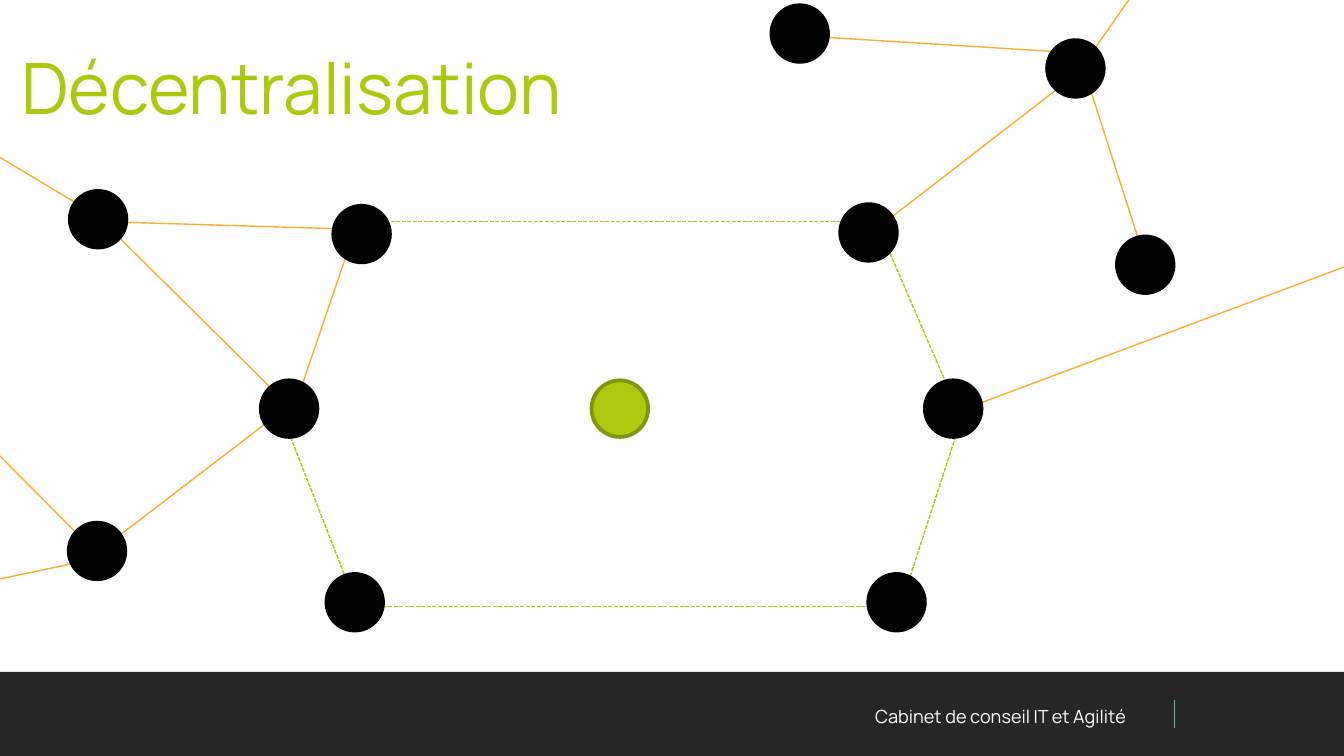
from typing import NamedTuple

from lxml import etree
from pptx import Presentation
from pptx.dml.color import RGBColor
from pptx.enum.dml import MSO_LINE
from pptx.enum.shapes import MSO_CONNECTOR, MSO_SHAPE
from pptx.enum.text import MSO_ANCHOR, MSO_AUTO_SIZE, PP_ALIGN
from pptx.oxml.ns import qn
from pptx.util import Cm, Pt

ELLIPSE, RECTANGLE = MSO_SHAPE.OVAL, MSO_SHAPE.RECTANGLE
STRAIGHT = MSO_CONNECTOR.STRAIGHT
DASH = MSO_LINE.SQUARE_DOT
LEFT, RIGHT = PP_ALIGN.LEFT, PP_ALIGN.RIGHT
TOP, MIDDLE = MSO_ANCHOR.TOP, MSO_ANCHOR.MIDDLE

BLACK = RGBColor(0x00, 0x00, 0x00)
WHITE = RGBColor(0xFF, 0xFF, 0xFF)
CHARCOAL = RGBColor(0x26, 0x26, 0x26)
TEAL = RGBColor(0x63, 0xBD, 0xA2)
ORANGE = RGBColor(0xF8, 0xAF, 0x2D)
LIME = RGBColor(0xAC, 0xC9, 0x09)
GREEN = RGBColor(0xAD, 0xC9, 0x0E)
DARK_GREEN = RGBColor(0x80, 0x95, 0x0A)

FONT = "Manrope"
TITLE_ONLY = 5
NODE_SIZE = 1.07


class Node(NamedTuple):
    """A network node, by its top left corner in centimetres."""
    left: float
    top: float
    fill: RGBColor = BLACK
    outline: RGBColor = BLACK


class Link(NamedTuple):
    """A line between two points in centimetres."""
    x1: float
    y1: float
    x2: float
    y2: float
    color: RGBColor = ORANGE
    dashed: bool = False


OUTER_LINKS = [
    Link(27.61, 4.22, 18.39, 7.67),
    Link(5.56, 7.72, 6.71, 4.34),
    Link(1.88, 10.41, 5.33, 7.77),
    Link(15.34, 0.69, 20.19, 0.99),
    Link(16.61, 4.29, 20.32, 1.42),
    Link(20.52, 1.42, 21.62, 4.85),
    Link(-2.46, 1.5, 2.11, 4.24),
    Link(1.98, 4.19, 6.93, 4.34),
    Link(1.98, 4.22, 5.46, 7.67),
    Link(-1.47, 7.14, 1.78, 10.41),
    Link(1.78, 10.57, -3.3, 11.63),
    Link(22.68, -1.93, 20.57, 1.09),
]

RING_LINKS = [
    Link(6.86, 4.19, 16.64, 4.19, LIME, True),
    Link(5.49, 8.26, 6.81, 11.63, LIME, True),
    Link(6.71, 11.46, 17.22, 11.46, LIME, True),
    Link(18.19, 7.85, 17.07, 11.3, LIME, True),
    Link(16.74, 4.6, 18.03, 7.59, LIME, True),
]

NODES = [
    Node(17.48, 7.19),
    Node(16.41, 10.85),
    Node(6.17, 10.85),
    Node(11.18, 7.19, GREEN, DARK_GREEN),
    Node(14.58, 0.1),
    Node(21.11, 4.47),
    Node(15.88, 3.86),
    Node(19.79, 0.76),
    Node(1.32, 3.61),
    Node(1.3, 9.88),
    Node(4.93, 7.19),
    Node(6.3, 3.89),
]


def draw_link(page, link: Link) -> None:
    line = page.shapes.add_connector(
        STRAIGHT, Cm(link.x1), Cm(link.y1), Cm(link.x2), Cm(link.y2))
    line.line.color.rgb = link.color
    line.line.width = Pt(0.75)
    if link.dashed:
        line.line.dash_style = DASH
    etree.SubElement(line._element.spPr, qn("a:effectLst"))


def draw_node(page, node: Node) -> None:
    circle = page.shapes.add_shape(
        ELLIPSE, Cm(node.left), Cm(node.top), Cm(NODE_SIZE), Cm(NODE_SIZE))
    circle.shadow.inherit = False
    circle.fill.solid()
    circle.fill.fore_color.rgb = node.fill
    circle.line.color.rgb = node.outline
    circle.line.width = Pt(2)


def write_text(box, text: str, size: float, color: RGBColor,
               align: PP_ALIGN, anchor: MSO_ANCHOR, inset: float) -> None:
    frame = box.text_frame
    frame.word_wrap = True
    frame.auto_size = MSO_AUTO_SIZE.NONE
    frame.vertical_anchor = anchor
    frame.margin_left = frame.margin_right = Cm(0.25)
    frame.margin_top = frame.margin_bottom = Cm(inset)
    para = frame.paragraphs[0]
    para.alignment = align
    span = para.add_run()
    span.text = text
    span.font.name = FONT
    span.font.size = Pt(size)
    span.font.color.rgb = color


def draw_footer(page) -> None:
    band = page.shapes.add_shape(RECTANGLE, Cm(0), Cm(12.7), Cm(25.4), Cm(1.59))
    band.shadow.inherit = False
    band.fill.solid()
    band.fill.fore_color.rgb = CHARCOAL
    band.line.fill.background()
    box = page.shapes.add_textbox(Cm(13.34), Cm(13.21), Cm(8.2), Cm(0.66))
    write_text(box, "Cabinet de conseil IT et Agilité", 9.7, WHITE, RIGHT, MIDDLE, 0.13)
    draw_link(page, Link(22.2, 13.23, 22.2, 13.77, TEAL))


def main() -> None:
    deck = Presentation()
    deck.slide_width, deck.slide_height = Cm(25.4), Cm(14.29)
    page = deck.slides.add_slide(deck.slide_layouts[TITLE_ONLY])
    page.background.fill.solid()
    page.background.fill.fore_color.rgb = WHITE

    draw_footer(page)

    # Title
    title = page.shapes.title
    title.left, title.top = Cm(0.15), Cm(0.58)
    title.width, title.height = Cm(22.73), Cm(1.4)
    write_text(title, "Décentralisation", 38, GREEN, LEFT, TOP, 0.25)

    # Network: links lie beneath the nodes
    for link in OUTER_LINKS + RING_LINKS:
        draw_link(page, link)
    for node in NODES:
        draw_node(page, node)

    deck.save("out.pptx")


if __name__ == "__main__":
    main()
